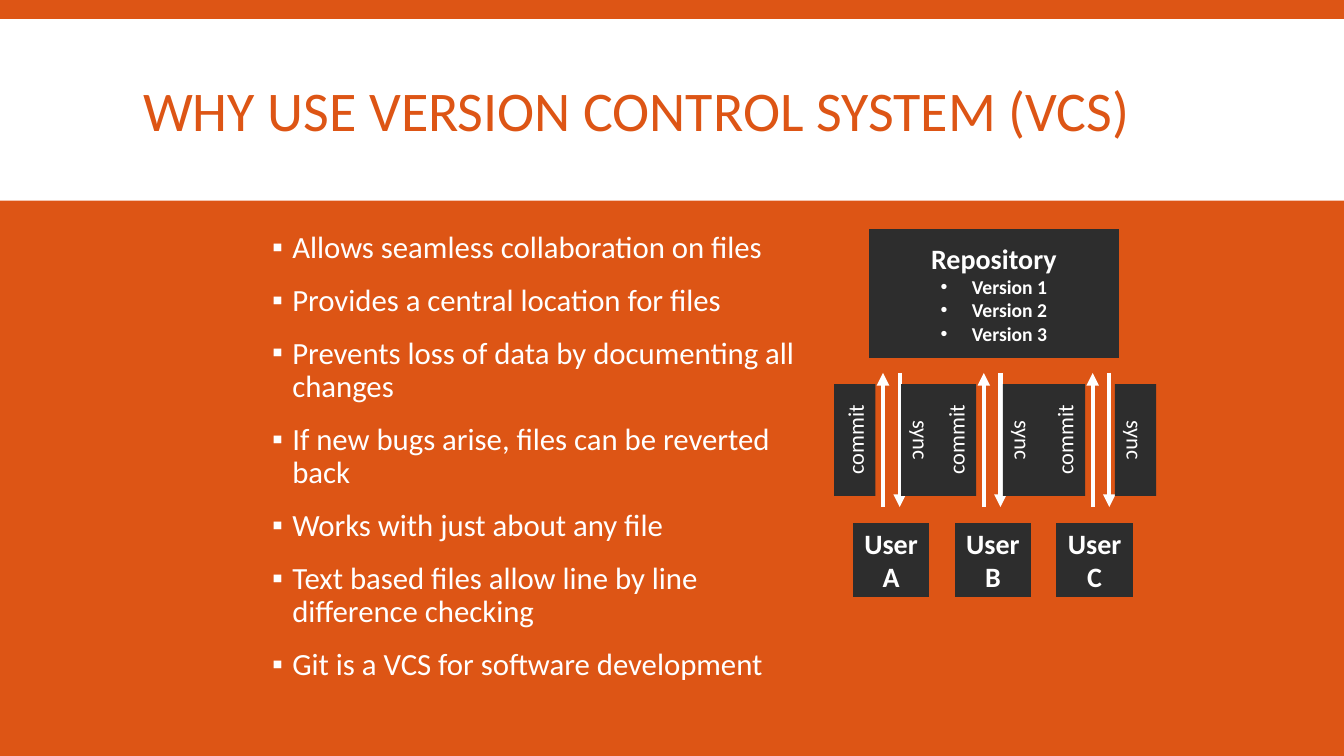
import dataclasses

import lxml.etree
import pptx
import pptx.dml.color
import pptx.enum.shapes
import pptx.enum.text
import pptx.oxml.ns
import pptx.util

COLORS = {"orange": "DD5515", "dark": "2D2D2D", "white": "FFFFFF"}
FONT = "Calibri"
CELL = pptx.util.Inches(0.1)
COLUMNS, ROWS = 133.33, 75
REASONS = [
    "Allows seamless collaboration on files",
    "Provides a central location for files",
    "Prevents loss of data by documenting all changes",
    "If new bugs arise, files can be reverted back",
    "Works with just about any file",
    "Text based files allow line by line difference checking",
    "Git is a VCS for software development",
]


@dataclasses.dataclass
class Box:
    """A rectangle measured in grid columns and rows."""
    left: float
    top: float
    width: float
    height: float

    def inner(self, left, top, width, height):
        """Return a box placed relative to this one."""
        return Box(self.left + left, self.top + top, width, height)

    def lengths(self):
        """Return the four sides as slide lengths."""
        sides = (self.left, self.top, self.width, self.height)
        return [pptx.util.Emu(round(side * CELL)) for side in sides]


def color(name):
    """Look up a named colour."""
    return pptx.dml.color.RGBColor.from_string(COLORS[name])


def add_element(parent, tag, **attributes):
    """Append a drawing element to its parent."""
    return lxml.etree.SubElement(parent, pptx.oxml.ns.qn(tag), attributes)


def place(shape, box):
    """Move a shape to a box."""
    shape.left, shape.top, shape.width, shape.height = box.lengths()


def write(paragraph, text, size, ink="white", bold=False, align=None, line=None,
          before=0, after=0, bullet=None, indent=0):
    """Put formatted text in a paragraph."""
    paragraph.alignment = align
    paragraph.line_spacing = line
    paragraph.space_before = pptx.util.Pt(before)
    paragraph.space_after = pptx.util.Pt(after)
    if bullet:
        properties = paragraph._p.get_or_add_pPr()
        margin = pptx.util.Inches(indent)
        properties.set("marL", str(margin))
        properties.set("indent", str(-margin))
        bullet_color = add_element(properties, "a:buClr")
        add_element(bullet_color, "a:srgbClr", val=COLORS[ink])
        add_element(properties, "a:buFont", typeface="Arial")
        add_element(properties, "a:buChar", char=bullet)
    run = paragraph.add_run()
    run.text = text
    run.font.name = FONT
    run.font.size = pptx.util.Pt(size)
    run.font.bold = bold
    run.font.color.rgb = color(ink)


def add_block(slide, box, fill="dark", outline=None):
    """Draw a flat rectangle with centred text space."""
    shape = slide.shapes.add_shape(
        pptx.enum.shapes.MSO_SHAPE.RECTANGLE, *box.lengths())
    shape.shadow.inherit = False
    shape.fill.solid()
    shape.fill.fore_color.rgb = color(fill)
    if outline:
        shape.line.color.rgb = color(outline)
        shape.line.width = pptx.util.Pt(3)
    else:
        shape.line.fill.background()
    shape.text_frame.word_wrap = True
    shape.text_frame.vertical_anchor = pptx.enum.text.MSO_ANCHOR.MIDDLE
    return shape


def add_label(slide, box, text, direction):
    """Draw a block with sideways text."""
    frame = add_block(slide, box).text_frame
    frame.word_wrap = False
    frame._txBody.bodyPr.set("vert", direction)
    write(frame.paragraphs[0], text, 16, align=pptx.enum.text.PP_ALIGN.CENTER)


def add_arrow(slide, box, column, start, end):
    """Draw an upright arrow between two rows of a box."""
    x, first, last = (round(length * CELL) for length in (
        box.left + column, box.top + start, box.top + end))
    arrow = slide.shapes.add_connector(
        pptx.enum.shapes.MSO_CONNECTOR.STRAIGHT, x, first, x, last)
    arrow.line.color.rgb = color("white")
    arrow.line.width = pptx.util.Pt(3)
    add_element(arrow.line._get_or_add_ln(), "a:tailEnd", type="triangle")
    add_element(arrow._element.spPr, "a:effectLst")


def build_header(slide, box):
    """Lay the title over a white band."""
    band = add_block(slide, box, fill="white")
    slide.shapes._spTree.insert(2, band._element)
    title = slide.shapes.title
    place(title, box.inner(13.2, 1.2, 110.2, 16.5))
    frame = title.text_frame
    frame.auto_size = pptx.enum.text.MSO_AUTO_SIZE.NONE
    frame.vertical_anchor = pptx.enum.text.MSO_ANCHOR.MIDDLE
    write(frame.paragraphs[0], "WHY USE VERSION CONTROL SYSTEM (VCS)", 40,
          ink="orange", align=pptx.enum.text.PP_ALIGN.LEFT, line=0.85)


def build_reasons(slide, box):
    """Fill the body with the bulleted reasons."""
    body = slide.placeholders[1]
    place(body, box)
    frame = body.text_frame
    frame.auto_size = pptx.enum.text.MSO_AUTO_SIZE.NONE
    for index, reason in enumerate(REASONS):
        paragraph = frame.add_paragraph() if index else frame.paragraphs[0]
        write(paragraph, reason, 22, line=0.9, before=12 if index else 0,
              after=2, bullet="▪", indent=0.2)


def build_repository(slide, box):
    """Draw the repository and its versions."""
    frame = add_block(slide, box, outline="orange").text_frame
    center = pptx.enum.text.PP_ALIGN.CENTER
    write(frame.paragraphs[0], "Repository", 20, bold=True, align=center)
    for number in range(1, 4):
        write(frame.add_paragraph(), f"Version {number}", 14, bold=True,
              align=center, bullet="•", indent=0.31)


def build_diagram(slide, box):
    """Draw users exchanging work with the repository."""
    build_repository(slide, box.inner(3.3, 0, 25.2, 13.2))
    commit_columns = (4.9, 14.9, 25.7)
    sync_labels = (6.7, 16.8, 27.9)
    for column in commit_columns:
        add_arrow(slide, box, column + 1.65, 14.5, 27.8)
        add_arrow(slide, box, column, 27.8, 14.5)
    for index, user in enumerate("ABC"):
        user_box = box.inner(1.7 + 10.1 * index, 29.2, 8, 7.7)
        frame = add_block(slide, user_box, outline="orange").text_frame
        write(frame.paragraphs[0], f"User {user}", 20, bold=True,
              align=pptx.enum.text.PP_ALIGN.CENTER)
    for column in commit_columns:
        add_label(slide, box.inner(column - 4.85, 15.6, 4.1, 11.1),
                  "commit", "vert270")
    for column in sync_labels:
        add_label(slide, box.inner(column, 15.6, 4.1, 11.1), "sync", "vert")


def main():
    """Build and save the slide."""
    presentation = pptx.Presentation()
    presentation.slide_width = round(COLUMNS * CELL)
    presentation.slide_height = round(ROWS * CELL)
    slide = presentation.slides.add_slide(presentation.slide_layouts[1])
    slide.background.fill.solid()
    slide.background.fill.fore_color.rgb = color("orange")
    build_header(slide, Box(0, 1.9, COLUMNS, 18))
    build_reasons(slide, Box(26, 22.5, 54.6, 49.7))
    build_diagram(slide, Box(82.7, 22.5, 32, 36.9))
    presentation.save("out.pptx")


if __name__ == "__main__":
    main()
